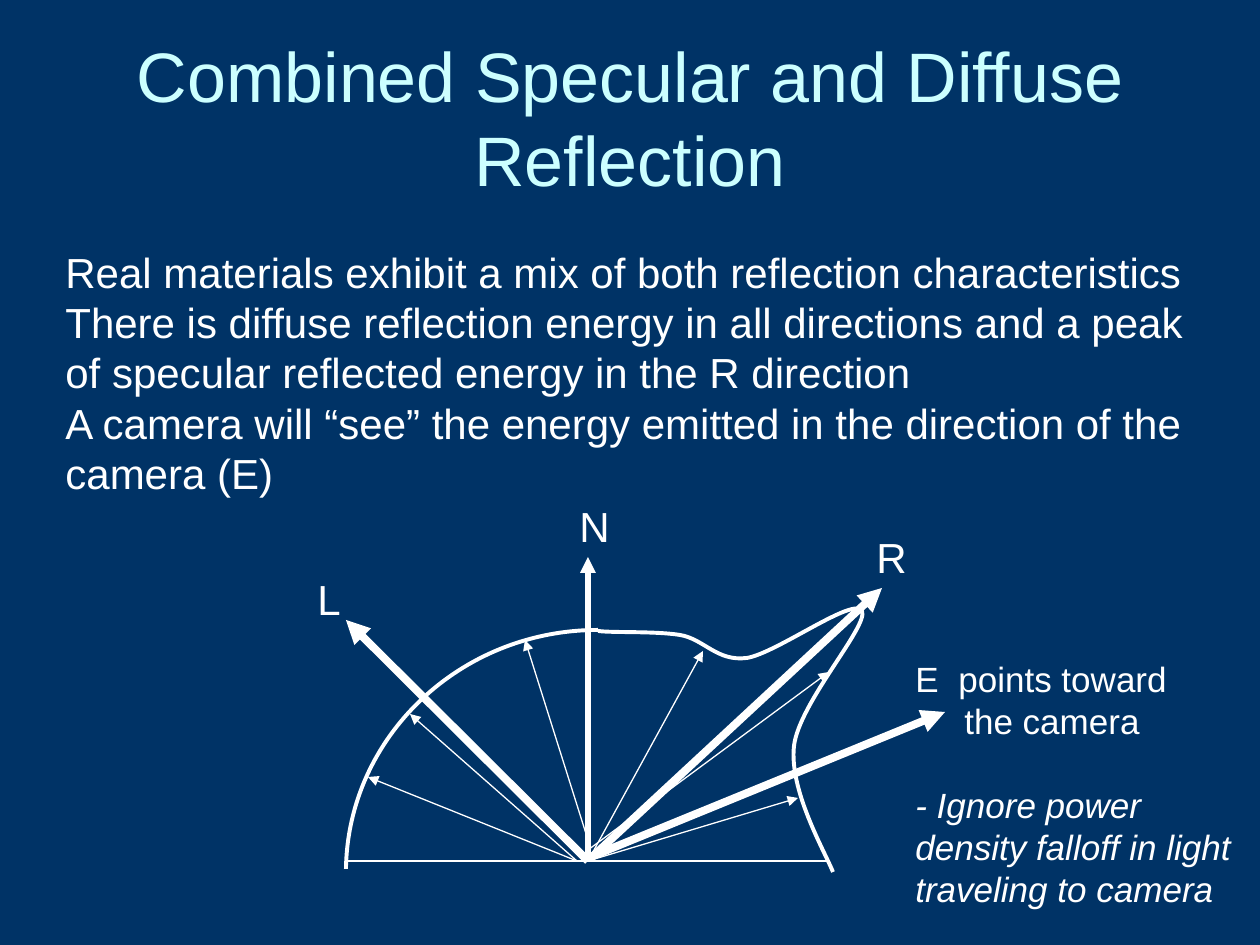
import lxml.etree
import pptx
import pptx.dml.color
import pptx.enum.shapes
import pptx.enum.text
import pptx.oxml.ns
import pptx.util

EMU_PER_PX = 914400 / 126
NAVY = pptx.dml.color.RGBColor(0x00, 0x33, 0x66)
PALE_CYAN = pptx.dml.color.RGBColor(0xCC, 0xFF, 0xFF)
WHITE = pptx.dml.color.RGBColor(0xFF, 0xFF, 0xFF)

STATEMENTS = (
    "Real materials exhibit a mix of both reflection characteristics",
    "There is diffuse reflection energy in all directions and a peak of "
    "specular reflected energy in the R direction",
    "A camera will “see” the energy emitted in the direction of the camera (E)",
)
CAMERA_NOTES = (
    "E\tpoints toward",
    "the camera",
    "- Ignore power density falloff in light traveling to camera",
)
VECTOR_LABELS = (("N", 567, 494), ("L", 305, 567), ("R", 864, 525))

# Start and tip of each thin ray of diffuse energy
DIFFUSE_RAYS = (
    ((577, 861), (368, 777)),
    ((577, 861), (410, 714)),
    ((588, 840), (525, 640)),
    ((588, 861), (703, 651)),
    ((588, 850), (829, 672)),
    ((588, 861), (798, 798)),
)
# A start, then two control points and an end point for each segment
DIFFUSE_ARC = ((598, 630), (460, 630), (348, 737), (346, 869))
SPECULAR_LOBE = (
    (598, 631),
    (612, 633), (655, 631), (680, 635),
    (704, 639), (717, 662), (747, 658),
    (777, 653), (854, 596), (862, 611),
    (869, 626), (799, 703), (794, 746),
    (789, 790), (824, 850), (833, 872),
)


def px(length):
    return pptx.util.Emu(round(length * EMU_PER_PX))


def set_all(target, values):
    for attribute, value in values.items():
        setattr(target, attribute, value)


def place(left, top, width, height):
    return {"left": px(left), "top": px(top), "width": px(width), "height": px(height)}


def format_runs(paragraph, size, color, italic=None):
    for run in paragraph.runs:
        set_all(run.font, {"name": "Arial", "size": pptx.util.Pt(size), "italic": italic})
        run.font.color.rgb = color


def format_line(line, width):
    line.color.rgb = WHITE
    line.width = pptx.util.Pt(width)


def add_title(slide, text):
    title = slide.shapes.title
    set_all(title, place(63, 38, 1134, 157))
    set_all(title.text_frame, {
        "text": text,
        "word_wrap": True,
        "auto_size": pptx.enum.text.MSO_AUTO_SIZE.NONE,
        "vertical_anchor": pptx.enum.text.MSO_ANCHOR.MIDDLE,
    })
    heading = title.text_frame.paragraphs[0]
    heading.alignment = pptx.enum.text.PP_ALIGN.CENTER
    format_runs(heading, 40, PALE_CYAN)


def add_text(slide, box, lines, size):
    frame = slide.shapes.add_textbox(**place(*box)).text_frame
    set_all(frame, {"word_wrap": True, "text": "\n".join(lines)})
    for paragraph in frame.paragraphs:
        format_runs(paragraph, size, WHITE)
    return frame.paragraphs


def add_camera_notes(slide):
    """Align the two-line E label by tab and indent, and set the remark apart."""
    label, continuation, remark = add_text(slide, (903, 651, 368, 265), CAMERA_NOTES, 20)
    tabs = lxml.etree.SubElement(
        label._p.get_or_add_pPr(), pptx.oxml.ns.qn("a:tabLst"))
    lxml.etree.SubElement(
        tabs, pptx.oxml.ns.qn("a:tab"), pos=str(px(43)), algn="l")
    continuation._p.get_or_add_pPr().set("marL", str(px(49)))
    remark.space_before = pptx.util.Pt(24)
    format_runs(remark, 20, WHITE, italic=True)


def add_line(slide, start, end, width, arrow=True):
    connector = slide.shapes.add_connector(
        pptx.enum.shapes.MSO_CONNECTOR.STRAIGHT,
        *(px(value) for value in start + end))
    format_line(connector.line, width)
    if arrow:
        lxml.etree.SubElement(
            connector.line._get_or_add_ln(), pptx.oxml.ns.qn("a:tailEnd"), type="triangle")
    lxml.etree.SubElement(
        connector._element.spPr, pptx.oxml.ns.qn("a:effectLst"))


def add_curve(slide, points):
    """Build the control polygon, then turn each three of its sides into a Bezier."""
    start, *controls = [(px(x), px(y)) for x, y in points]
    builder = slide.shapes.build_freeform(*start)
    builder.add_line_segments(controls, close=False)
    curve = builder.convert_to_shape()
    sides = list(curve._element.iter(pptx.oxml.ns.qn("a:lnTo")))
    for first in range(0, len(sides), 3):
        segment = lxml.etree.Element(pptx.oxml.ns.qn("a:cubicBezTo"))
        sides[first].addprevious(segment)
        for side in sides[first:first + 3]:
            segment.append(side[0])
            side.getparent().remove(side)
    curve.shadow.inherit = False
    curve.fill.background()
    format_line(curve.line, 2.25)


def add_reflection_diagram(slide):
    add_curve(slide, DIFFUSE_ARC)
    add_line(slide, (588, 861), (588, 557), 3)
    add_line(slide, (588, 861), (346, 620), 4.5)
    add_line(slide, (346, 861), (829, 861), 0.75, arrow=False)
    for start, tip in DIFFUSE_RAYS:
        add_line(slide, start, tip, 0.75)
    add_curve(slide, SPECULAR_LOBE)
    add_line(slide, (591, 858), (882, 588), 4.5)
    add_line(slide, (588, 858), (945, 712), 4.5)
    for letter, left, top in VECTOR_LABELS:
        add_text(slide, (left, top, 71, 63), [letter], 24)


def main():
    deck = pptx.Presentation()
    set_all(deck, {"slide_width": px(1260), "slide_height": px(945)})
    slide = deck.slides.add_slide(deck.slide_layouts.get_by_name("Title Only"))
    slide.background.fill.solid()
    slide.background.fill.fore_color.rgb = NAVY
    add_title(slide, "Combined Specular and Diffuse Reflection")
    add_text(slide, (53, 240, 1166, 315), STATEMENTS, 24)
    add_reflection_diagram(slide)
    add_camera_notes(slide)
    deck.save("out.pptx")


if __name__ == "__main__":
    main()
